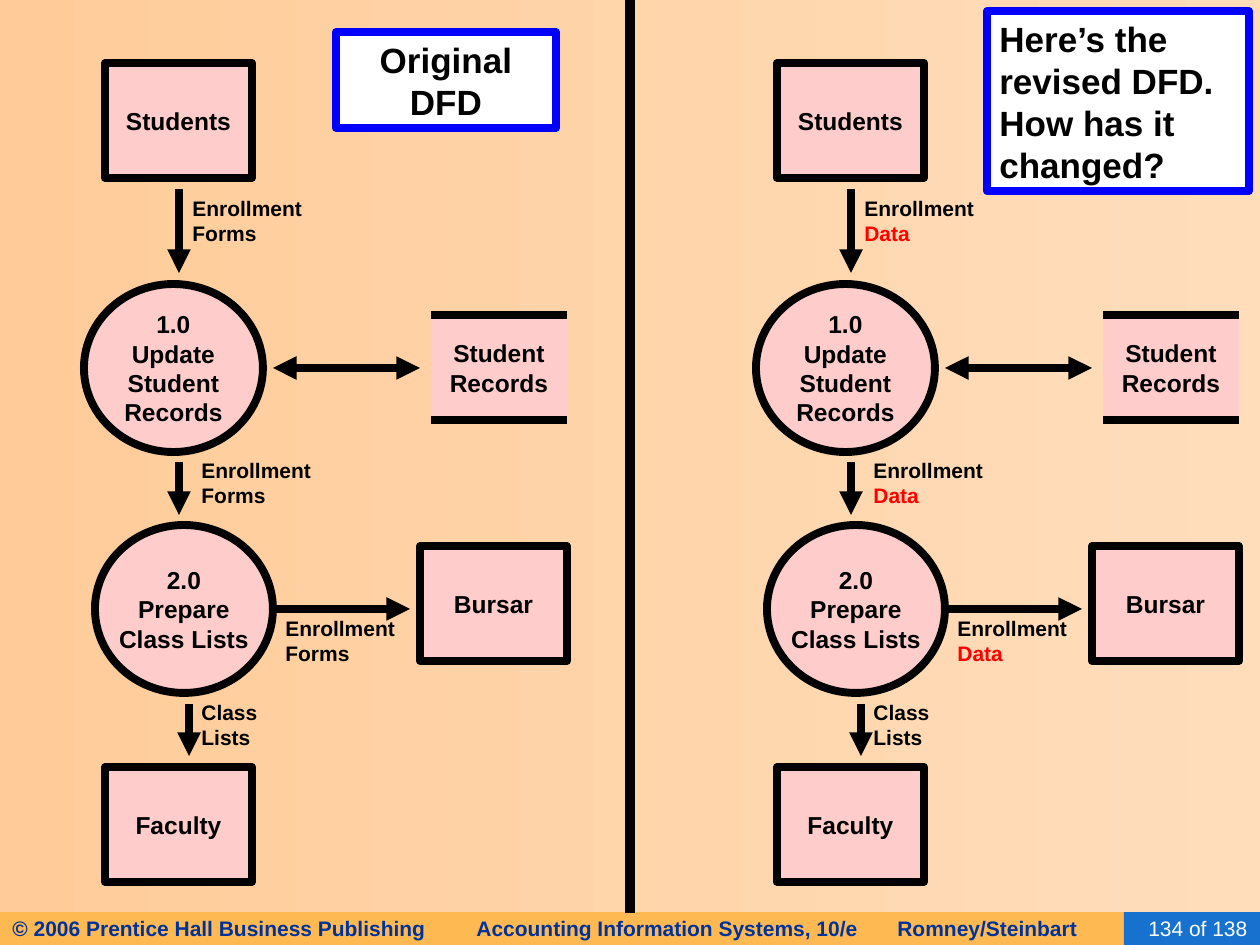
from lxml.etree import SubElement
from pptx import Presentation
from pptx.dml.color import RGBColor
from pptx.enum.shapes import MSO_CONNECTOR, MSO_SHAPE
from pptx.enum.text import MSO_ANCHOR, PP_ALIGN
from pptx.oxml.ns import qn
from pptx.util import Pt

PX = 914400 / 126  # EMU per px
BLACK = RGBColor(0x00, 0x00, 0x00)
WHITE = RGBColor(0xFF, 0xFF, 0xFF)
RED = RGBColor(0xFF, 0x00, 0x00)
BLUE = RGBColor(0x00, 0x00, 0xFF)
PINK = RGBColor(0xFF, 0xCC, 0xCC)
NAVY = RGBColor(0x00, 0x33, 0x99)
FOOTER_GOLD = RGBColor(0xFF, 0xB9, 0x53)
FOOTER_BLUE = RGBColor(0x16, 0x72, 0xCE)
PEACH_LIGHT = RGBColor(0xFF, 0xDD, 0xBB)
PEACH_DARK = RGBColor(0xFF, 0xCC, 0x99)

prs = Presentation()
prs.slide_width, prs.slide_height = round(1260 * PX), round(945 * PX)
slide = prs.slides.add_slide(prs.slide_layouts[6])
shapes = slide.shapes


def add_box(box, text, size, kind=None, fill=None, outline=None, color=BLACK,
            align=PP_ALIGN.LEFT, anchor=MSO_ANCHOR.MIDDLE, wrap=False, bold=True):
    """Add a shape, or a plain text box without kind; one paragraph per line."""
    place = [round(v * PX) for v in box]
    if kind is None:
        item = shapes.add_textbox(*place)
    else:
        item = shapes.add_shape(kind, *place)
        item.shadow.inherit = False
        item.fill.solid()
        item.fill.fore_color.rgb = fill
        if outline is None:
            item.line.fill.background()
        else:
            item.line.color.rgb = outline
            item.line.width = Pt(4.5)
    frame = item.text_frame
    frame.word_wrap = wrap
    frame.vertical_anchor = anchor
    frame.text = text
    for paragraph in frame.paragraphs:
        paragraph.alignment = align
        font = paragraph.font
        font.name, font.size, font.bold = "Arial", Pt(size), bold
        font.color.rgb = color
    return item


def add_line(ends, width=4.5, arrows=()):
    line = shapes.add_connector(MSO_CONNECTOR.STRAIGHT, *[round(v * PX) for v in ends])
    line.line.color.rgb = BLACK
    line.line.width = Pt(width)
    for arrow in arrows:
        SubElement(line.line._get_or_add_ln(), qn(f"a:{arrow}"), type="triangle")
    SubElement(line._element.spPr, qn("a:effectLst"))


# Background
background = slide.background.fill
background.gradient()
background.gradient_angle = 180
for stop, shade in zip(background.gradient_stops, (PEACH_LIGHT, PEACH_DARK)):
    stop.color.rgb = shade
for stop, position in zip(background.gradient_stops, (0, 1)):
    stop.position = position

# Footer
credits = add_box((0, 912, 1166, 33), "", 12, MSO_SHAPE.RECTANGLE, FOOTER_GOLD, color=NAVY)
credit_line = credits.text_frame.paragraphs[0]
tabs = SubElement(credit_line._p.get_or_add_pPr(), qn("a:tabLst"))
for stop in (464, 885):
    SubElement(tabs, qn("a:tab"), pos=str(round(stop * PX)), algn="l")
# The tab stops have to come before the paragraph's font settings
credit_line._p.pPr.insert(0, tabs)
credit_line.add_run().text = "© 2006 Prentice Hall Business Publishing\t"
credit_line.add_run().text = "Accounting Information Systems, 10/e\tRomney/Steinbart"
add_box((1124, 912, 136, 33), "134 of 138", 12, MSO_SHAPE.RECTANGLE, FOOTER_BLUE,
        color=WHITE, align=PP_ALIGN.RIGHT, bold=False)

# Divider between the two diagrams
add_line((630, 0, 630, 913), width=6)

# Diagram parts, placed for the left half
entities = [
    (MSO_SHAPE.RECTANGLE, (105, 63, 147, 115), "Students"),
    (MSO_SHAPE.OVAL, (84, 284, 179, 168), "1.0\nUpdate\nStudent\nRecords"),
    (MSO_SHAPE.OVAL, (95, 525, 178, 168), "2.0\nPrepare\nClass Lists"),
    (MSO_SHAPE.RECTANGLE, (105, 767, 147, 115), "Faculty"),
    (MSO_SHAPE.RECTANGLE, (420, 546, 147, 115), "Bursar"),
]
store_left, store_top, store_width, store_height = 431, 315, 136, 105
flows = [
    ((273, 368, 420, 368), ("headEnd", "tailEnd")),
    ((179, 189, 179, 273), ("tailEnd",)),
    ((179, 462, 179, 515), ("tailEnd",)),
    ((189, 704, 189, 756), ("tailEnd",)),
    ((273, 609, 410, 609), ("tailEnd",)),
]
enrollment_labels = [(180, 189), (189, 451), (273, 609)]

# Original diagram on the left, revised one on the right
for shift, document, document_color in ((0, "Forms", BLACK), (672, "Data", RED)):
    for kind, (left, top, width, height), name in entities:
        add_box((left + shift, top, width, height), name, 14, kind, PINK, BLACK,
                align=PP_ALIGN.CENTER)

    # Data store with open sides
    x = store_left + shift
    add_box((x, store_top, store_width, store_height), "Student\nRecords", 14,
            MSO_SHAPE.RECTANGLE, PINK, align=PP_ALIGN.CENTER)
    for y in (store_top, store_top + store_height):
        add_line((x, y, x + store_width, y))

    for (x1, y1, x2, y2), arrows in flows:
        add_line((x1 + shift, y1, x2 + shift, y2), arrows=arrows)

    # Flow labels
    for left, top in enrollment_labels:
        label = add_box((left + shift, top, 135, 63), f"Enrollment\n{document}", 12,
                        anchor=MSO_ANCHOR.TOP)
        label.text_frame.paragraphs[1].font.color.rgb = document_color
    add_box((189 + shift, 693, 81, 63), "Class\nLists", 12, anchor=MSO_ANCHOR.TOP)

# Headings
for box, heading, align in (
    ((336, 32, 220, 96), "Original DFD", PP_ALIGN.CENTER),
    ((987, 11, 262, 180), "Here’s the revised DFD. How has it changed?", PP_ALIGN.LEFT),
):
    add_box(box, heading, 20, MSO_SHAPE.RECTANGLE, WHITE, BLUE, align=align,
            anchor=MSO_ANCHOR.TOP, wrap=True)

prs.save("out.pptx")
